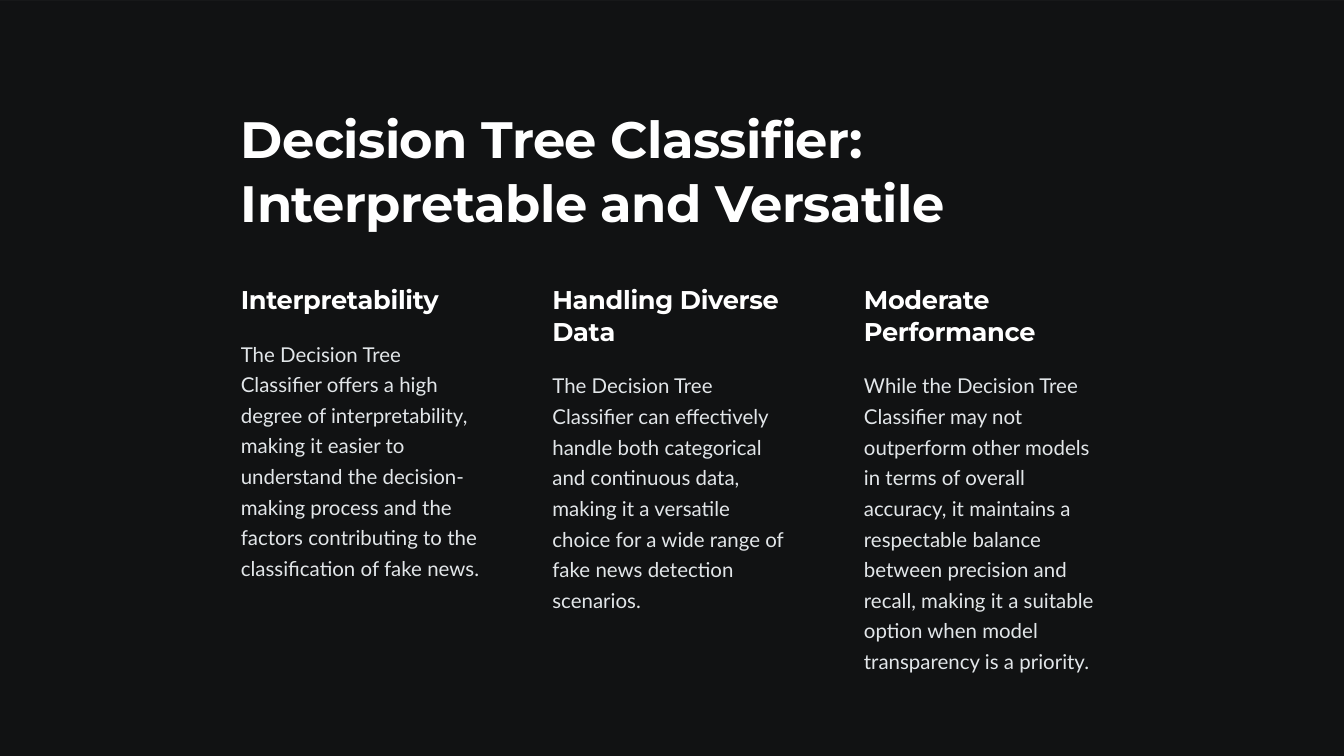
"""Build the slide on the decision tree classifier."""
import pptx
import pptx.dml.color
import pptx.enum.shapes
import pptx.enum.text
import pptx.util

TITLE = "Decision Tree Classifier: Interpretable and Versatile"
COLUMNS = [
    ("Interpretability", 1,
     "The Decision Tree Classifier offers a high degree of interpretability, making it easier "
     "to understand the decision-making process and the factors contributing to the "
     "classification of fake news.", 2.13),
    ("Handling Diverse Data", 2,
     "The Decision Tree Classifier can effectively handle both categorical and continuous data, "
     "making it a versatile choice for a wide range of fake news detection scenarios.", 1.82),
    ("Moderate Performance", 2,
     "While the Decision Tree Classifier may not outperform other models in terms of overall "
     "accuracy, it maintains a respectable balance between precision and recall, making it a "
     "suitable option when model transparency is a priority.", 2.73),
]

BACKDROPS = [("181A1B", 0), ("111213", 0.01)]
TITLE_STYLE = {"name": "Montserrat", "size": 36.46, "bold": True, "color": "FFFFFF",
               "leading": 45.57, "tracking": -40}
HEADING_STYLE = {**TITLE_STYLE, "size": 18.23, "leading": 22.78, "tracking": -20}
BODY_STYLE = {"name": "Lato", "size": 14.58, "bold": False, "color": "E2E6E9",
              "leading": 21.87, "tracking": 0}

SLIDE_WIDTH, SLIDE_HEIGHT = 13.33, 7.5
LEFT, COLUMN_STEP, COLUMN_WIDTH = 2.29, 3.09, 2.59
TITLE_TOP, TITLE_WIDTH, TITLE_HEIGHT = 0.99, 8.74, 1.27
HEADING_TOP, HEADING_LINE, HEADING_GAP = 2.76, 0.315, 0.205


def paint(fill, color):
    """Fill with one solid colour."""
    fill.solid()
    fill.fore_color.rgb = pptx.dml.color.RGBColor.from_string(color)


def place(shape, left, top, width, height):
    """Set the position and size of a shape in inches."""
    box = {"left": left, "top": top, "width": width, "height": height}
    for side, inches in box.items():
        setattr(shape, side, pptx.util.Inches(inches))


def write(shape, text, style):
    """Write one styled paragraph into a shape."""
    frame = shape.text_frame
    frame_format = {
        "word_wrap": True,
        "auto_size": pptx.enum.text.MSO_AUTO_SIZE.NONE,
        "vertical_anchor": pptx.enum.text.MSO_ANCHOR.TOP,
    }
    for key, setting in frame_format.items():
        setattr(frame, key, setting)
    paragraph = frame.paragraphs[0]
    paragraph_format = {
        "alignment": pptx.enum.text.PP_ALIGN.LEFT,
        "line_spacing": pptx.util.Pt(style["leading"]),
        "space_before": pptx.util.Pt(0),
    }
    for key, setting in paragraph_format.items():
        setattr(paragraph, key, setting)
    run = paragraph.add_run()
    run.text = text
    font_format = {"name": style["name"], "size": pptx.util.Pt(style["size"]),
                   "bold": style["bold"]}
    for key, setting in font_format.items():
        setattr(run.font, key, setting)
    paint(run.font.fill, style["color"])
    if style["tracking"]:
        run._r.get_or_add_rPr().set("spc", str(style["tracking"]))


def add_backdrop(slide, color, top):
    """Add a plain panel from a given height down to the foot of the slide."""
    size = (0, top, SLIDE_WIDTH, SLIDE_HEIGHT - top)
    panel = slide.shapes.add_shape(
        pptx.enum.shapes.MSO_SHAPE.RECTANGLE, *map(pptx.util.Inches, size))
    panel.shadow.inherit = False
    panel.line.fill.background()
    paint(panel.fill, color)


def add_text(slide, text, style, left, top, width, height):
    """Add a text box holding one styled paragraph."""
    box = slide.shapes.add_textbox(*map(pptx.util.Inches, (left, top, width, height)))
    write(box, text, style)


def main():
    """Lay out the backdrops, the title and the three columns."""
    deck = pptx.Presentation()
    deck.slide_width = pptx.util.Inches(SLIDE_WIDTH)
    deck.slide_height = pptx.util.Inches(SLIDE_HEIGHT)
    slide = deck.slides.add_slide(deck.slide_layouts[5])

    for color, top in BACKDROPS:
        add_backdrop(slide, color, top)

    title = slide.shapes.title
    title._element.getparent().append(title._element)
    place(title, LEFT, TITLE_TOP, TITLE_WIDTH, TITLE_HEIGHT)
    write(title, TITLE, TITLE_STYLE)

    for index, (heading, heading_lines, body, body_height) in enumerate(COLUMNS):
        left = LEFT + index * COLUMN_STEP
        heading_height = heading_lines * HEADING_LINE
        body_top = HEADING_TOP + heading_height + HEADING_GAP
        add_text(slide, heading, HEADING_STYLE, left, HEADING_TOP, COLUMN_WIDTH, heading_height)
        add_text(slide, body, BODY_STYLE, left, body_top, COLUMN_WIDTH, body_height)

    deck.save("out.pptx")


if __name__ == "__main__":
    main()
